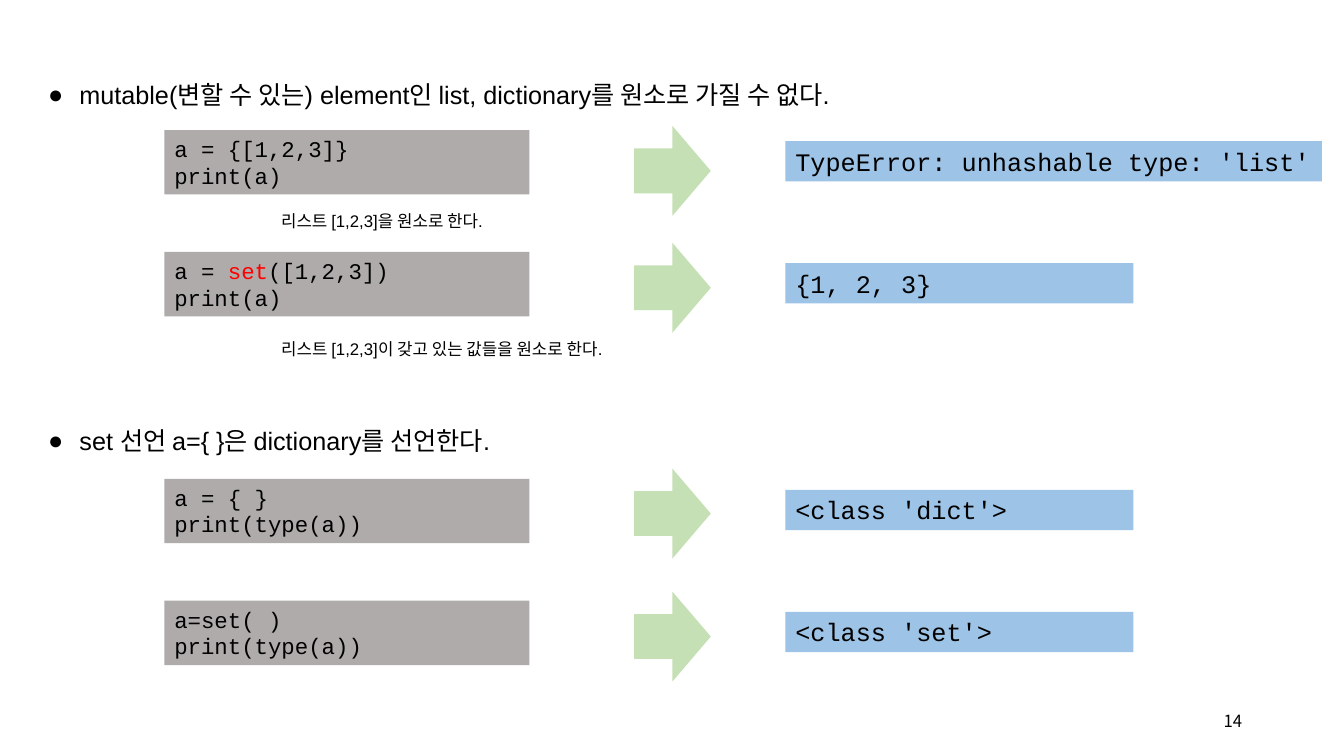
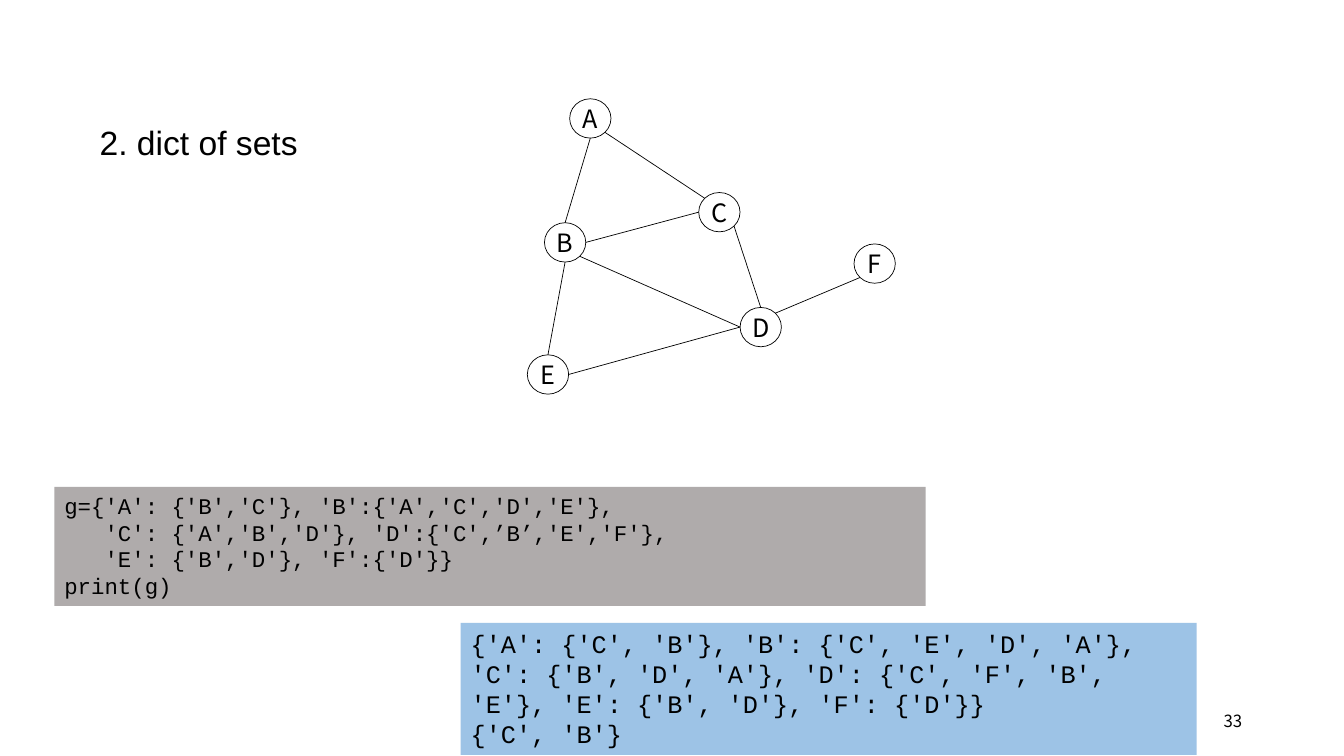
from dataclasses import dataclass
from math import cos, radians, sin
from typing import NamedTuple

from lxml.etree import SubElement
from pptx import Presentation
from pptx.dml.color import RGBColor
from pptx.enum.shapes import MSO_CONNECTOR, MSO_SHAPE
from pptx.enum.text import MSO_ANCHOR, MSO_AUTO_SIZE, PP_ALIGN
from pptx.oxml.ns import qn
from pptx.util import Emu, Pt

EMU_PER_PX = 9144  # 100 px to the inch
BLACK, WHITE, RED = "000000", "FFFFFF", "FF0000"
CODE_GREY, OUTPUT_BLUE, ARROW_GREEN = "AFABAB", "9DC3E6", "C5E0B4"
KOREAN, LATIN, MONO = "Noto Sans CJK KR", "Arial", "Courier New"
BULLET_INDENT = 31


class Box(NamedTuple):
    left: int
    top: int
    width: int
    height: int


@dataclass(frozen=True)
class TextStyle:
    font: str
    size: int
    align: PP_ALIGN = PP_ALIGN.LEFT
    anchor: MSO_ANCHOR = MSO_ANCHOR.TOP
    spacing: float | None = None
    wrap: bool = True
    grow: bool = True
    inset: int | None = None
    bullet: str = ""


CODE = TextStyle(MONO, 16)
OUTPUT = TextStyle(MONO, 18)
POINT = TextStyle(LATIN, 18, bullet="●")
REMARK = TextStyle(LATIN, 12, spacing=1.5, wrap=False)
HEADING = TextStyle(LATIN, 24, spacing=1.5, wrap=False)
PAGE_NUMBER = TextStyle(KOREAN, 12, PP_ALIGN.RIGHT, MSO_ANCHOR.MIDDLE, grow=False)
NODE_LABEL = TextStyle(KOREAN, 18, PP_ALIGN.CENTER, MSO_ANCHOR.MIDDLE,
                       grow=False, inset=0)


@dataclass(frozen=True)
class Example:
    """Code, an arrow and the output it leads to."""
    code_top: int
    arrow_top: int
    code: str
    output: str
    output_width: int = 345
    highlight: str = ""


class Edge(NamedTuple):
    """Two nodes and the angle, clockwise from the right, where the line meets each."""
    start: str
    start_angle: int
    end: str
    end_angle: int


EXAMPLES = [
    Example(129, 125, "a = {[1,2,3]}\nprint(a)",
            "TypeError: unhashable type: 'list'", output_width=532),
    Example(250, 241, "a = set([1,2,3])\nprint(a)", "{1, 2, 3}", highlight="set"),
    Example(475, 465, "a = { }\nprint(type(a))", "<class 'dict'>"),
    Example(596, 587, "a=set( )\nprint(type(a))", "<class 'set'>"),
]
POINTS = {
    74: "mutable(변할 수 있는) element인 list, dictionary를 원소로 가질 수 없다.",
    417: "set 선언 a={ }은 dictionary를 선언한다.",
}
REMARKS = {
    Box(269, 194, 237, 40): "리스트 [1,2,3]을 원소로 한다.",
    Box(269, 321, 369, 40): "리스트 [1,2,3]이 갖고 있는 값들을 원소로 한다.",
}

NODE_WIDTH, NODE_HEIGHT = 41, 39
NODES = {"A": (565, 98), "B": (540, 221), "C": (693, 191),
         "D": (734, 305), "E": (523, 352), "F": (847, 242)}
RIGHT, LOWER_RIGHT, BOTTOM, LOWER_LEFT = 0, 45, 90, 135
LEFT, UPPER_LEFT, TOP, UPPER_RIGHT = 180, 225, 270, 315
EDGES = [
    Edge("A", BOTTOM, "B", TOP),
    Edge("A", LOWER_RIGHT, "C", UPPER_LEFT),
    Edge("B", RIGHT, "C", LEFT),
    Edge("B", LOWER_RIGHT, "D", LEFT),
    Edge("C", LOWER_RIGHT, "D", TOP),
    Edge("D", LEFT, "E", RIGHT),
    Edge("E", TOP, "B", BOTTOM),
    Edge("F", LOWER_LEFT, "D", UPPER_RIGHT),
]
GRAPH_CODE = """g={'A': {'B','C'}, 'B':{'A','C','D','E'},
   'C': {'A','B','D'}, 'D':{'C',’B’,'E','F'},
   'E': {'B','D'}, 'F':{'D'}}
print(g)"""
GRAPH_OUTPUT = (
    "{'A': {'C', 'B'}, 'B': {'C', 'E', 'D', 'A'}, "
    "'C': {'B', 'D', 'A'}, 'D': {'C', 'F', 'B', 'E'}, "
    "'E': {'B', 'D'}, 'F': {'D'}}\n{'C', 'B'}"
)


def px(length: float) -> Emu:
    return Emu(round(length * EMU_PER_PX))


def rgb(colour: str) -> RGBColor:
    return RGBColor.from_string(colour)


def set_all(target, values: dict) -> None:
    for attribute, value in values.items():
        setattr(target, attribute, value)


def add_bullet(paragraph, symbol: str) -> None:
    properties = paragraph._p.get_or_add_pPr()
    properties.set("marL", str(px(BULLET_INDENT)))
    properties.set("indent", str(px(-BULLET_INDENT)))
    SubElement(properties, qn("a:buFont")).set("typeface", LATIN)
    SubElement(properties, qn("a:buChar")).set("char", symbol)


def add_run(paragraph, text: str, style: TextStyle, colour: str) -> None:
    run = paragraph.add_run()
    run.text = text
    set_all(run.font, {"name": style.font, "size": Pt(style.size)})
    run.font.color.rgb = rgb(colour)
    east_asian = SubElement(run._r.get_or_add_rPr(), qn("a:ea"))
    east_asian.set("typeface", KOREAN)


def write(shape, text: str, style: TextStyle, highlight: str = "") -> None:
    """Fill a shape with one paragraph per line, with the highlighted word in red."""
    frame = shape.text_frame
    set_all(frame, {
        "word_wrap": style.wrap,
        "vertical_anchor": style.anchor,
        "auto_size": (MSO_AUTO_SIZE.SHAPE_TO_FIT_TEXT if style.grow
                      else MSO_AUTO_SIZE.NONE),
    })
    if style.inset is not None:
        sides = ("margin_left", "margin_top", "margin_right", "margin_bottom")
        set_all(frame, dict.fromkeys(sides, px(style.inset)))
    for index, line in enumerate(text.split("\n")):
        paragraph = frame.add_paragraph() if index else frame.paragraphs[0]
        if style.bullet:
            add_bullet(paragraph, style.bullet)
        set_all(paragraph, {"alignment": style.align, "line_spacing": style.spacing})
        before, marked, after = line.partition(highlight) if highlight else (line, "", "")
        for part, colour in ((before, BLACK), (marked, RED), (after, BLACK)):
            if part:
                add_run(paragraph, part, style, colour)


def add_text(slide, box: Box, text: str, style: TextStyle) -> None:
    write(slide.shapes.add_textbox(*map(px, box)), text, style)


def add_filled(slide, preset: MSO_SHAPE, box: Box, fill: str, outline: str = ""):
    shape = slide.shapes.add_shape(preset, *map(px, box))
    shape.shadow.inherit = False
    shape.fill.solid()
    shape.fill.fore_color.rgb = rgb(fill)
    if outline:
        shape.line.color.rgb = rgb(outline)
        shape.line.width = Pt(0.5)
    else:
        shape.line.fill.background()
    return shape


def add_panel(slide, box: Box, fill: str, text: str, style: TextStyle,
              highlight: str = "") -> None:
    write(add_filled(slide, MSO_SHAPE.RECTANGLE, box, fill), text, style, highlight)


def add_example(slide, example: Example) -> None:
    add_panel(slide, Box(163, example.code_top, 362, 64), CODE_GREY,
              example.code, CODE, example.highlight)
    add_filled(slide, MSO_SHAPE.RIGHT_ARROW, Box(629, example.arrow_top, 76, 89),
               ARROW_GREEN)
    add_panel(slide, Box(779, example.code_top + 11, example.output_width, 40),
              OUTPUT_BLUE, example.output, OUTPUT)


def rim_point(node: str, angle: int) -> tuple[Emu, Emu]:
    left, top = NODES[node]
    return (px(left + NODE_WIDTH / 2 * (1 + cos(radians(angle)))),
            px(top + NODE_HEIGHT / 2 * (1 + sin(radians(angle)))))


def add_edge(slide, edge: Edge) -> None:
    line = slide.shapes.add_connector(
        MSO_CONNECTOR.STRAIGHT,
        *rim_point(edge.start, edge.start_angle),
        *rim_point(edge.end, edge.end_angle))
    line.line.color.rgb = rgb(BLACK)
    line.line.width = Pt(0.5)
    SubElement(line._element.spPr, qn("a:effectLst"))


def add_slide(deck, number: int):
    """Add a blank white slide with its page number."""
    slide = deck.slides.add_slide(deck.slide_layouts[6])
    slide.background.fill.solid()
    slide.background.fill.fore_color.rgb = rgb(WHITE)
    add_text(slide, Box(1187, 695, 55, 40), str(number), PAGE_NUMBER)
    return slide


def build_set_elements(deck) -> None:
    slide = add_slide(deck, 14)
    for example in EXAMPLES:
        add_example(slide, example)
    for top, point in POINTS.items():
        add_text(slide, Box(38, top, 850, 40), point, POINT)
    for box, remark in REMARKS.items():
        add_text(slide, box, remark, REMARK)


def build_dict_of_sets(deck) -> None:
    slide = add_slide(deck, 33)
    add_text(slide, Box(89, 96, 218, 71), "2. dict of sets", HEADING)
    for label, (left, top) in NODES.items():
        node = add_filled(slide, MSO_SHAPE.OVAL,
                          Box(left, top, NODE_WIDTH, NODE_HEIGHT), WHITE, BLACK)
        write(node, label, NODE_LABEL)
    for edge in EDGES:
        add_edge(slide, edge)
    add_panel(slide, Box(54, 483, 864, 118), CODE_GREY, GRAPH_CODE, CODE)
    add_panel(slide, Box(457, 618, 730, 131), OUTPUT_BLUE, GRAPH_OUTPUT, OUTPUT)


def main() -> None:
    deck = Presentation()
    set_all(deck, {"slide_width": px(1333), "slide_height": px(750)})
    build_set_elements(deck)
    build_dict_of_sets(deck)
    deck.save("out.pptx")


if __name__ == "__main__":
    main()
